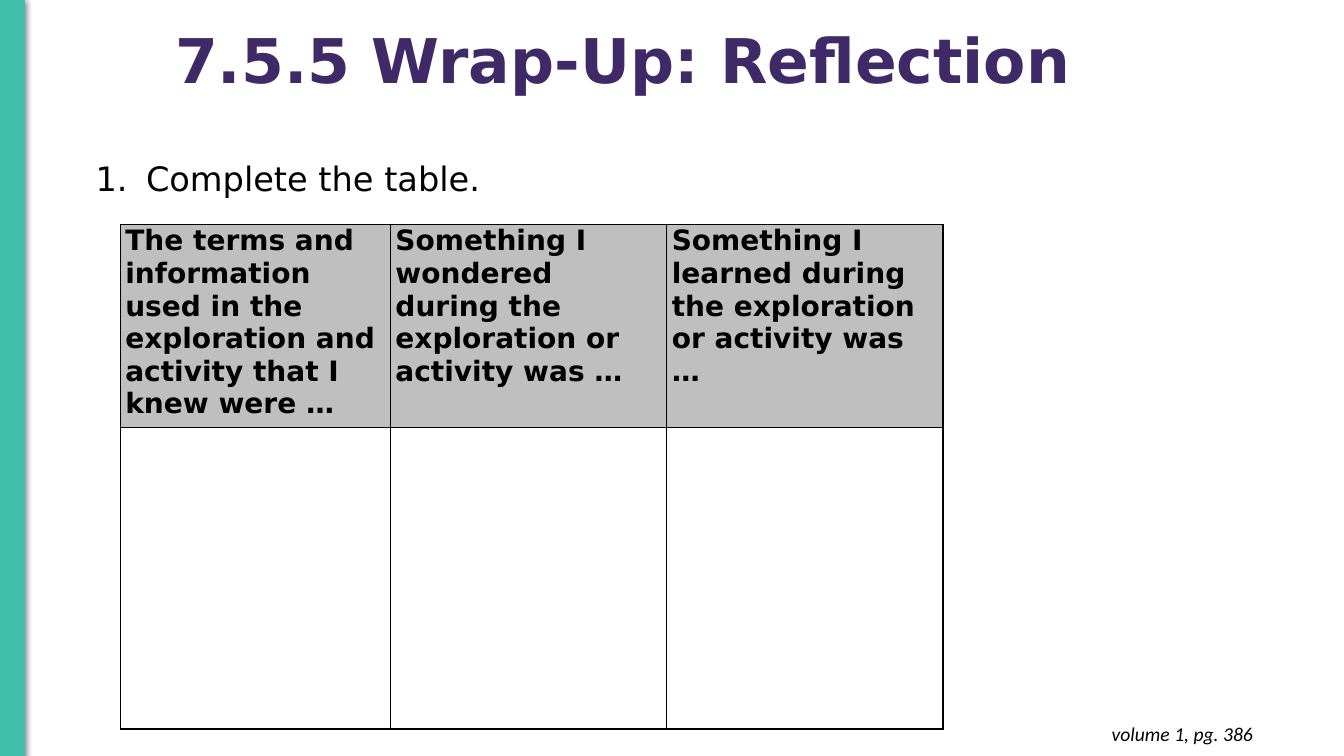
from dataclasses import dataclass

from lxml import etree
from pptx import Presentation
from pptx.dml.color import RGBColor
from pptx.enum import shapes, text
from pptx.oxml import ns
from pptx.util import Pt


@dataclass(frozen=True)
class Theme:
    purple: str = "3F2A67"
    teal: str = "41BFAC"
    gray: str = "BFBFBF"
    black: str = "000000"
    main_font: str = "DejaVu Sans"
    footer_font: str = "Calibri"
    title_size: float = 44
    body_size: float = 24
    header_size: float = 20
    footer_size: float = 14


THEME = Theme()


@dataclass(frozen=True)
class Style:
    size: float
    color: str = THEME.black
    font: str = THEME.main_font
    bold: bool = False
    italic: bool = False


@dataclass(frozen=True)
class Label:
    wording: str
    box: tuple[float, float, float, float]
    style: Style
    margins: tuple[float, float] = (7.2, 3.6)
    anchor: text.MSO_ANCHOR = text.MSO_ANCHOR.TOP
    alignment: text.PP_ALIGN = text.PP_ALIGN.LEFT
    line_spacing: float = 1.0
    numbered: bool = False


LABELS = [
    Label("7.5.5 Wrap-Up: Reflection", (118, -6.5, 766, 104.4),
          Style(THEME.title_size, THEME.purple, bold=True),
          anchor=text.MSO_ANCHOR.MIDDLE, line_spacing=0.9),
    Label("Complete the table.", (61.2, 109.4, 638, 36),
          Style(THEME.body_size), numbered=True),
    Label("volume 1, pg. 386", (694.8, 508.3, 207.4, 31.7),
          Style(THEME.footer_size, font=THEME.footer_font, italic=True),
          margins=(7.2, 7.2), alignment=text.PP_ALIGN.RIGHT),
]
HEADERS = [
    "The terms and information used in the exploration and activity that I knew were …",
    "Something I wondered during the exploration or activity was …",
    "Something I learned during the exploration or activity was …",
]
TABLE_LEFT, TABLE_TOP = 85.9, 160.6
COLUMN_WIDTHS = [193, 197.4, 197.4]
ROW_HEIGHTS = [144.8, 215.3]


def rgb(color: str) -> RGBColor:
    return RGBColor.from_string(color)


def add_element(parent, tag: str, **attributes):
    values = {name: str(value) for name, value in attributes.items()}
    return etree.SubElement(parent, ns.qn(tag), values)


def add_run(paragraph, wording: str, style: Style) -> None:
    run = paragraph.add_run()
    run.text = wording
    run.font.name = style.font
    run.font.size = Pt(style.size)
    run.font.bold = style.bold
    run.font.italic = style.italic
    run.font.color.rgb = rgb(style.color)


def add_numbering(paragraph) -> None:
    properties = paragraph._p.get_or_add_pPr()
    properties.set("marL", str(Pt(36)))
    properties.set("indent", str(Pt(-36)))
    bullet_color = add_element(properties, "a:buClr")
    add_element(bullet_color, "a:srgbClr", val=THEME.black)
    add_element(properties, "a:buAutoNum", type="arabicPeriod")


def add_label(slide, label: Label) -> None:
    shape = slide.shapes.add_textbox(*map(Pt, label.box))
    frame = shape.text_frame
    frame.word_wrap = True
    frame.vertical_anchor = label.anchor
    horizontal, vertical = map(Pt, label.margins)
    frame.margin_left = frame.margin_right = horizontal
    frame.margin_top = frame.margin_bottom = vertical
    paragraph = frame.paragraphs[0]
    paragraph.alignment = label.alignment
    paragraph.line_spacing = label.line_spacing
    if label.numbered:
        add_numbering(paragraph)
    add_run(paragraph, label.wording, label.style)


def add_side_bar(slide) -> None:
    shape = slide.shapes.add_shape(
        shapes.MSO_SHAPE.RECTANGLE, Pt(0), Pt(-0.5), Pt(17.5), Pt(540.5))
    shape.fill.solid()
    shape.fill.fore_color.rgb = rgb(THEME.teal)
    shape.line.color.rgb = rgb(THEME.teal)
    shape.line.width = Pt(0.75)
    shape.shadow.inherit = False
    effects = shape._element.spPr.find(ns.qn("a:effectLst"))
    shadow = add_element(effects, "a:outerShdw", blurRad=Pt(4.5), dist=Pt(1.5),
                         dir=90 * 60000, algn="ctr", rotWithShape=0)
    shadow_color = add_element(shadow, "a:srgbClr", val=THEME.black)
    add_element(shadow_color, "a:alpha", val=50000)


def add_borders(cell) -> None:
    properties = cell._tc.get_or_add_tcPr()
    for side in ("a:lnL", "a:lnR", "a:lnT", "a:lnB"):
        border = add_element(properties, side, w=Pt(1))
        fill = add_element(border, "a:solidFill")
        add_element(fill, "a:srgbClr", val=THEME.black)


def add_reflection_table(slide) -> None:
    table = slide.shapes.add_table(
        len(ROW_HEIGHTS), len(COLUMN_WIDTHS), Pt(TABLE_LEFT), Pt(TABLE_TOP),
        Pt(sum(COLUMN_WIDTHS)), Pt(sum(ROW_HEIGHTS))).table
    table.first_row = table.horz_banding = False
    for column, width in zip(table.columns, COLUMN_WIDTHS):
        column.width = Pt(width)
    for row, height in zip(table.rows, ROW_HEIGHTS):
        row.height = Pt(height)
    for cell in table.iter_cells():
        add_borders(cell)
        cell.fill.background()
    header_style = Style(THEME.header_size, bold=True)
    for cell, wording in zip(table.rows[0].cells, HEADERS):
        cell.fill.solid()
        cell.fill.fore_color.rgb = rgb(THEME.gray)
        cell.margin_left = cell.margin_right = Pt(3.6)
        cell.margin_top = cell.margin_bottom = Pt(0)
        add_run(cell.text_frame.paragraphs[0], wording, header_style)


def main() -> None:
    presentation = Presentation()
    presentation.slide_width = Pt(960)
    presentation.slide_height = Pt(540)
    slide = presentation.slides.add_slide(presentation.slide_layouts[6])
    add_side_bar(slide)
    for label in LABELS:
        add_label(slide, label)
    add_reflection_table(slide)
    presentation.save("out.pptx")


if __name__ == "__main__":
    main()
